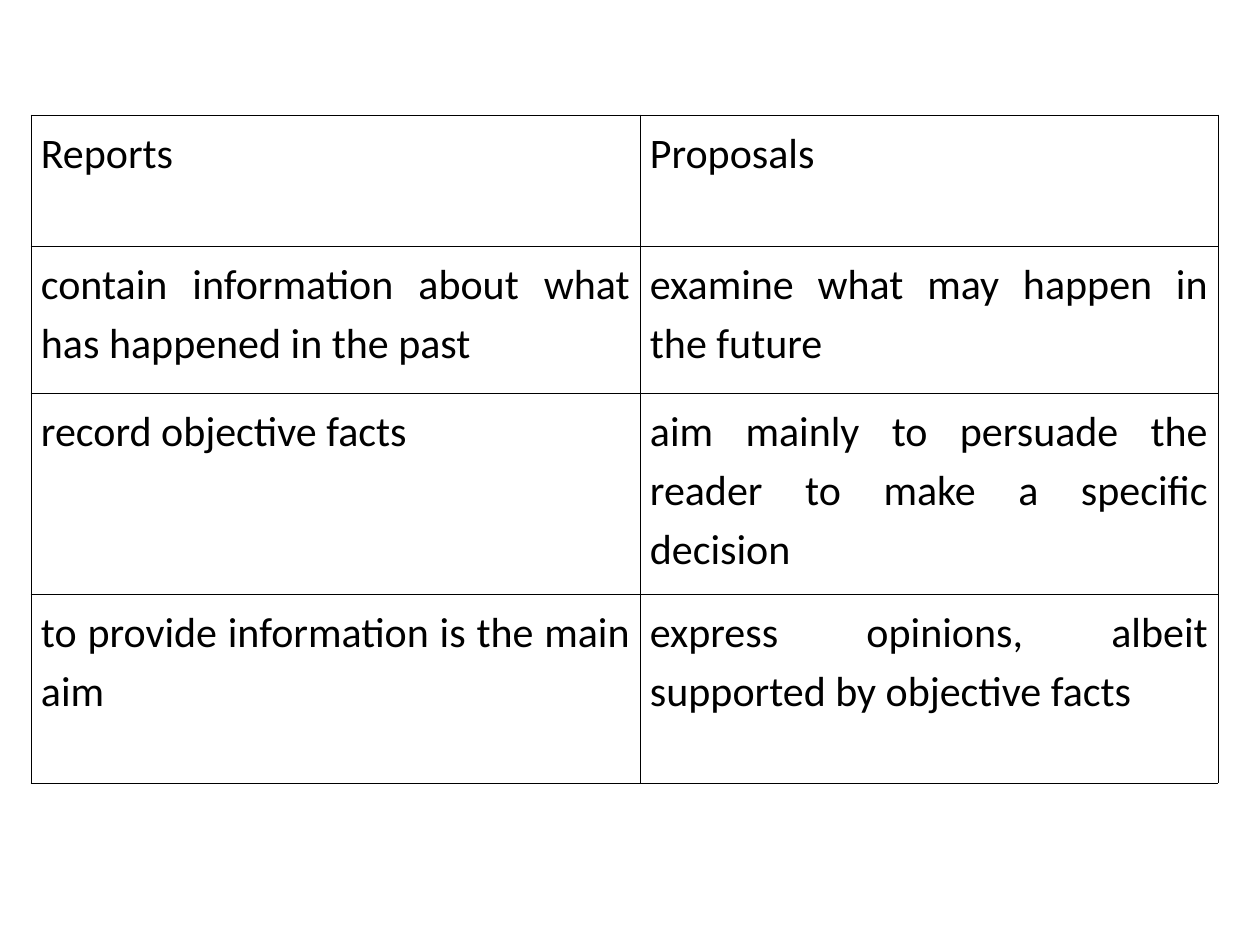
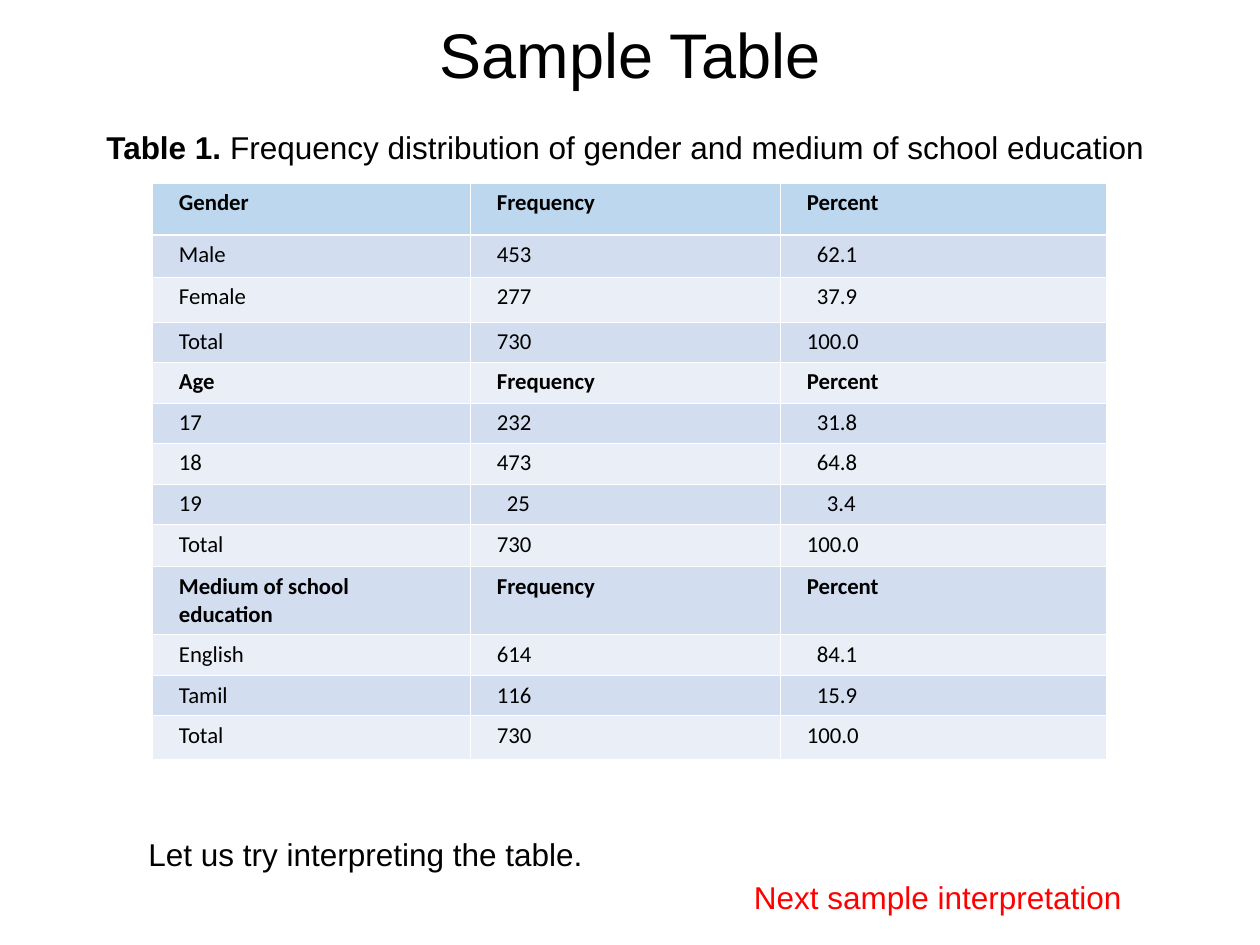
from lxml import etree
from pptx import Presentation
from pptx import util as u
from pptx.dml.color import RGBColor
from pptx.enum import text
from pptx.oxml.ns import qn

# Shared look
PX_PER_INCH = 126
BLACK, WHITE, RED = "000000", "FFFFFF", "FF0000"
HEADER_FILL, BAND_FILLS = "BDD7EE", ("D2DEEF", "EAEFF7")
HEADING_FONT, TABLE_FONT = "Arial", "Calibri"
THIN, THICK = 0.45, 1.47
DIGIT_WIDTH = 10

# Wording
COMPARISON = [
    ("Reports", "Proposals"),
    ("contain information about what has happened in the past",
     "examine what may happen in the future"),
    ("record objective facts",
     "aim mainly to persuade the reader to make a specific decision"),
    ("to provide information is the main aim",
     "express opinions, albeit supported by objective facts"),
]
FREQUENCIES = [
    ("Gender", "Frequency", "Percent"),
    ("Male", "453", "62.1"),
    ("Female", "277", "37.9"),
    ("Total", "730", "100.0"),
    ("Age", "Frequency", "Percent"),
    ("17", "232", "31.8"),
    ("18", "473", "64.8"),
    ("19", "25", "3.4"),
    ("Total", "730", "100.0"),
    ("Medium of school education", "Frequency", "Percent"),
    ("English", "614", "84.1"),
    ("Tamil", "116", "15.9"),
    ("Total", "730", "100.0"),
]


def px(length):
    return u.Emu(round(length * u.Inches(1) / PX_PER_INCH))


def rgb(color):
    return RGBColor.from_string(color)


def write(para, words, size=18, font=HEADING_FONT, color=BLACK, bold=False,
          align=text.PP_ALIGN.LEFT, spacing=None):
    """Add a formatted span to a paragraph."""
    para.alignment = align
    if spacing:
        para.line_spacing = spacing
    span = para.add_run()
    span.text = words
    span.font.size = u.Pt(size)
    span.font.name = font
    span.font.bold = bold
    span.font.color.rgb = rgb(color)


def add_text(page, left, top, width, words, **style):
    """Add a one-line text box and return its paragraph."""
    box = page.shapes.add_textbox(px(left), px(top), px(width), px(50))
    box.text_frame.word_wrap = True
    para = box.text_frame.paragraphs[0]
    write(para, words, **style)
    return para


def set_title(page, words):
    title = page.shapes.title
    title.left, title.top, title.width, title.height = map(px, (0, 0, 1260, 116))
    title.text_frame.vertical_anchor = text.MSO_ANCHOR.MIDDLE
    write(title.text_frame.paragraphs[0], words, size=36,
          align=text.PP_ALIGN.CENTER, spacing=0.9)


def set_borders(cell, color, **widths):
    """Draw the four cell sides; widths overrides a side by its tag."""
    properties = cell._tc.get_or_add_tcPr()
    for index, side in enumerate(("lnL", "lnR", "lnT", "lnB")):
        line = etree.Element(qn(f"a:{side}"), w=str(u.Pt(widths.get(side, THIN))))
        fill = etree.SubElement(line, qn("a:solidFill"))
        etree.SubElement(fill, qn("a:srgbClr"), val=color)
        properties.insert(index, line)


def add_table(page, left, top, columns, heights):
    """Add an unstyled table with the given column widths and row heights."""
    frame = page.shapes.add_table(len(heights), len(columns), px(left), px(top),
                                  px(sum(columns)), px(sum(heights)))
    table = frame.table
    table.first_row = table.horz_banding = False
    for column, width in zip(table.columns, columns):
        column.width = px(width)
    for row, height in zip(table.rows, heights):
        row.height = px(height)
    return table


def fill_cell(cell, words, margin, indent=0, fill=None, **style):
    cell.margin_left, cell.margin_right = px(margin + indent), px(margin)
    cell.margin_top = cell.margin_bottom = px(6)
    if fill:
        cell.fill.solid()
        cell.fill.fore_color.rgb = rgb(fill)
    else:
        cell.fill.background()
    write(cell.text_frame.paragraphs[0], words, font=TABLE_FONT, **style)


def build_comparison(page):
    table = add_table(page, 31, 115, (609, 578), (131, 147, 201, 189))
    for row, entries in enumerate(COMPARISON):
        for column, words in enumerate(entries):
            cell = table.cell(row, column)
            fill_cell(cell, words, 10, size=24, spacing=1.15,
                      align=text.PP_ALIGN.JUSTIFY)
            set_borders(cell, BLACK)


def build_frequencies(page):
    heights = (52, 42, 45, 40, 41, 40, 41, 41, 42, 68, 41, 40, 44)
    table = add_table(page, 152, 183, (318, 310, 326), heights)
    for row, entries in enumerate(FREQUENCIES):
        heading = entries[1] == "Frequency"
        fill = BAND_FILLS[(row - 1) % 2] if row else HEADER_FILL
        rule = {0: {"lnB": THICK}, 1: {"lnT": THICK}}.get(row, {})
        for column, words in enumerate(entries):
            # Numbers line up on three whole digits
            missing = 0 if heading or column == 0 else 3 - len(words.split(".")[0])
            cell = table.cell(row, column)
            fill_cell(cell, words, 27, indent=missing * DIGIT_WIDTH,
                      fill=fill, size=13, bold=heading)
            set_borders(cell, WHITE, **rule)


def main():
    deck = Presentation()
    deck.slide_width, deck.slide_height = px(1260), px(945)
    title_only, blank = deck.slide_layouts[5], deck.slide_layouts[6]

    # Reports against proposals
    build_comparison(deck.slides.add_slide(blank))

    # Sample table with caption and prompts
    page = deck.slides.add_slide(title_only)
    set_title(page, "Sample Table")
    build_frequencies(page)
    caption = add_text(page, 94, 122, 1079, "Table 1. ", bold=True)
    write(caption, "Frequency distribution of gender and medium of school education")
    add_text(page, 136, 829, 462, "Let us try interpreting the table.")
    add_text(page, 651, 872, 483, "Next sample interpretation", color=RED,
             align=text.PP_ALIGN.RIGHT)

    deck.save("out.pptx")


if __name__ == "__main__":
    main()
